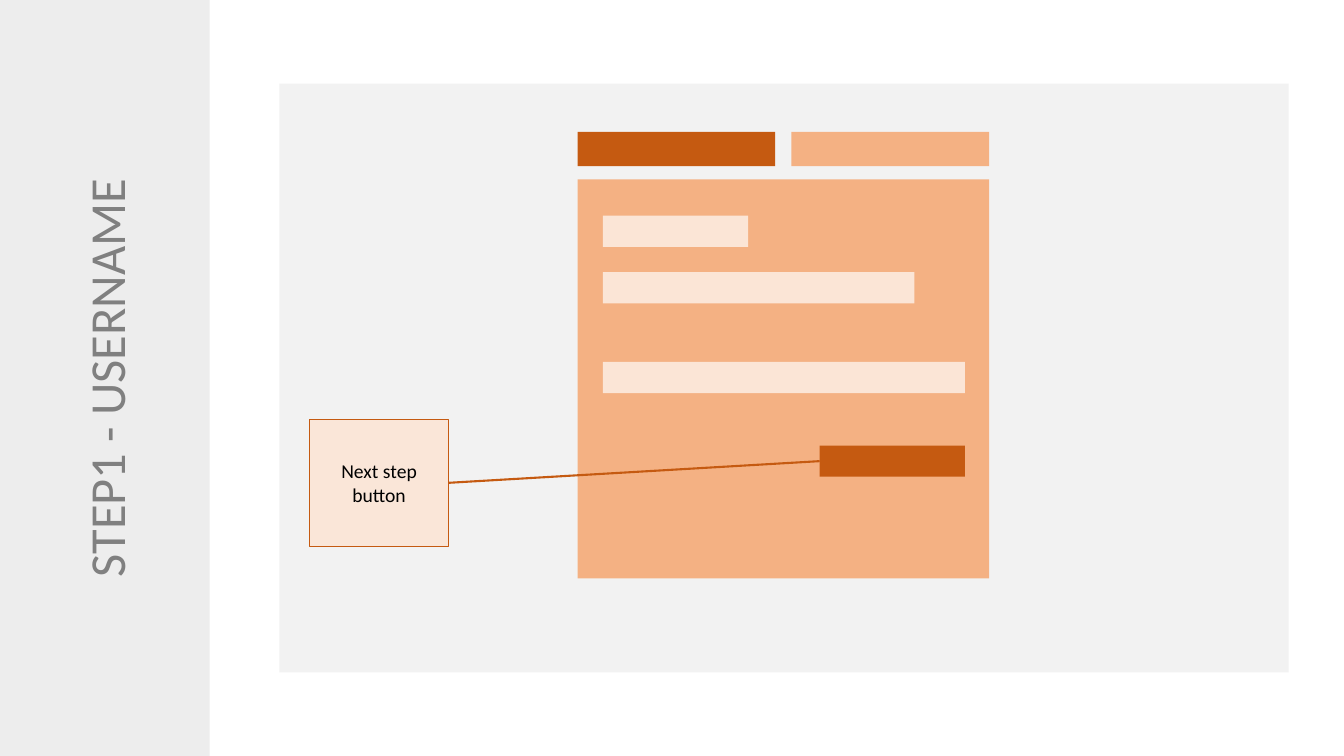
import pptx
import pptx.dml.color
import pptx.enum.shapes
import pptx.enum.text
import pptx.oxml
import pptx.oxml.ns
import pptx.util
from lxml import etree

RGBColor = pptx.dml.color.RGBColor
Inches = pptx.util.Inches
Pt = pptx.util.Pt
qn = pptx.oxml.ns.qn

PANEL_GRAY = RGBColor(0xF2, 0xF2, 0xF2)
SIDEBAR_GRAY = RGBColor(0xED, 0xED, 0xED)
TITLE_GRAY = RGBColor(0x80, 0x80, 0x80)
ORANGE = RGBColor(0xF4, 0xB1, 0x83)
DARK_ORANGE = RGBColor(0xC5, 0x5A, 0x11)
PALE_ORANGE = RGBColor(0xFB, 0xE5, 0xD6)
BLACK = RGBColor(0, 0, 0)

SLIDE_WIDTH, SLIDE_HEIGHT = 13.33, 7.5
SIDEBAR_WIDTH = 2.08
FORM_LEFT, FORM_WIDTH = 5.73, 4.08
TAB_WIDTH = 1.96
FIELD_LEFT, FIELD_WIDTH = 5.98, 3.59
FIELD_HEIGHT = 0.31
BUTTON_WIDTH = 1.44

presentation = pptx.Presentation()
presentation.slide_width = Inches(SLIDE_WIDTH)
presentation.slide_height = Inches(SLIDE_HEIGHT)
slide = presentation.slides.add_slide(presentation.slide_layouts[5])


def add_block(left, top, width, height, color):
    """Add a plain filled rectangle, measured in inches."""
    shape = slide.shapes.add_shape(
        pptx.enum.shapes.MSO_SHAPE.RECTANGLE,
        Inches(left), Inches(top), Inches(width), Inches(height))
    shape.shadow.inherit = False
    shape.fill.solid()
    shape.fill.fore_color.rgb = color
    shape.line.fill.background()
    return shape


def write_centred(shape, text, size, color):
    frame = shape.text_frame
    frame.text = text
    frame.word_wrap = True
    frame.auto_size = pptx.enum.text.MSO_AUTO_SIZE.NONE
    frame.vertical_anchor = pptx.enum.text.MSO_ANCHOR.MIDDLE
    paragraph = frame.paragraphs[0]
    paragraph.alignment = pptx.enum.text.PP_ALIGN.CENTER
    paragraph.font.name = "Calibri"
    paragraph.font.size = Pt(size)
    paragraph.font.color.rgb = color


# Sidebar: the title turned a quarter about its centre fills the left edge
title = slide.shapes.title
title.width, title.height = Inches(SLIDE_HEIGHT), Inches(SIDEBAR_WIDTH)
title.left = Inches((SIDEBAR_WIDTH - SLIDE_HEIGHT) / 2)
title.top = Inches((SLIDE_HEIGHT - SIDEBAR_WIDTH) / 2)
title.rotation = 270
title.fill.solid()
title.fill.fore_color.rgb = SIDEBAR_GRAY
write_centred(title, "STEP1 - USERNAME", 36, TITLE_GRAY)

# Page panel and form
add_block(2.77, 0.83, 10.01, 5.84, PANEL_GRAY)
add_block(FORM_LEFT, 1.78, FORM_WIDTH, 3.96, ORANGE)

# Step tabs, flush with both edges of the form
for left, color in [(FORM_LEFT, DARK_ORANGE),
                    (FORM_LEFT + FORM_WIDTH - TAB_WIDTH, ORANGE)]:
    add_block(left, 1.31, TAB_WIDTH, 0.34, color)

# Form rows
for top, width in [(2.14, BUTTON_WIDTH), (2.7, 3.09), (3.59, FIELD_WIDTH)]:
    add_block(FIELD_LEFT, top, width, FIELD_HEIGHT, PALE_ORANGE)

next_button = add_block(FIELD_LEFT + FIELD_WIDTH - BUTTON_WIDTH, 4.42,
                        BUTTON_WIDTH, FIELD_HEIGHT, DARK_ORANGE)

# Callout
callout = add_block(3.07, 4.16, 1.38, 1.26, PALE_ORANGE)
callout.line.color.rgb = DARK_ORANGE
callout.line.width = Pt(1)
fill_color = callout._element.spPr.find(qn("a:solidFill")).find(qn("a:srgbClr"))
etree.SubElement(fill_color, qn("a:alpha")).set("val", "90000")
write_centred(callout, "Next step button", 14, BLACK)

leader = slide.shapes.add_connector(
    pptx.enum.shapes.MSO_CONNECTOR.STRAIGHT, 0, 0, 0, 0)
leader.begin_connect(next_button, 1)
leader.end_connect(callout, 3)
leader.line.color.rgb = DARK_ORANGE
leader.line.width = Pt(1.5)
etree.SubElement(leader._element.spPr, qn("a:effectLst"))

presentation.save("out.pptx")
